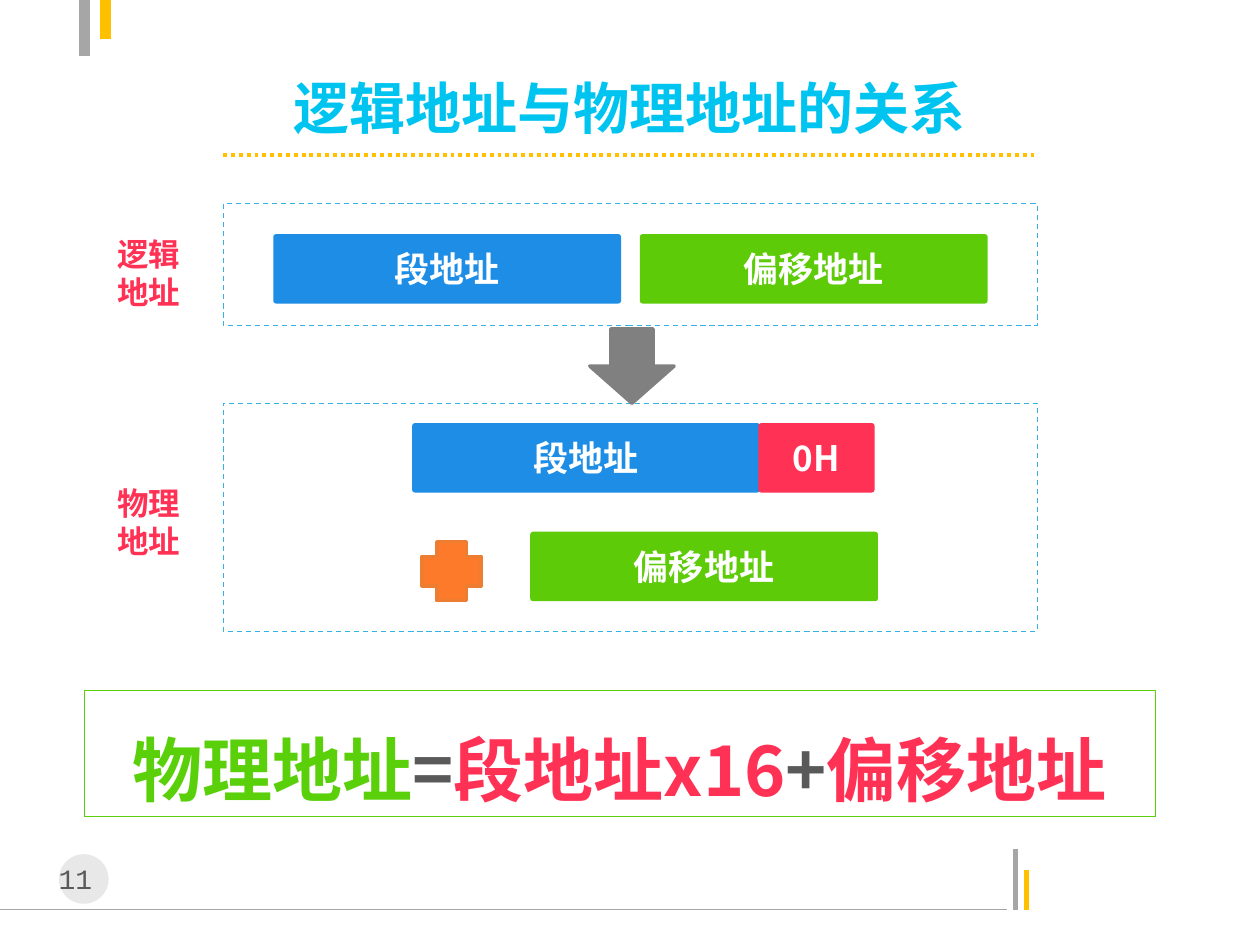
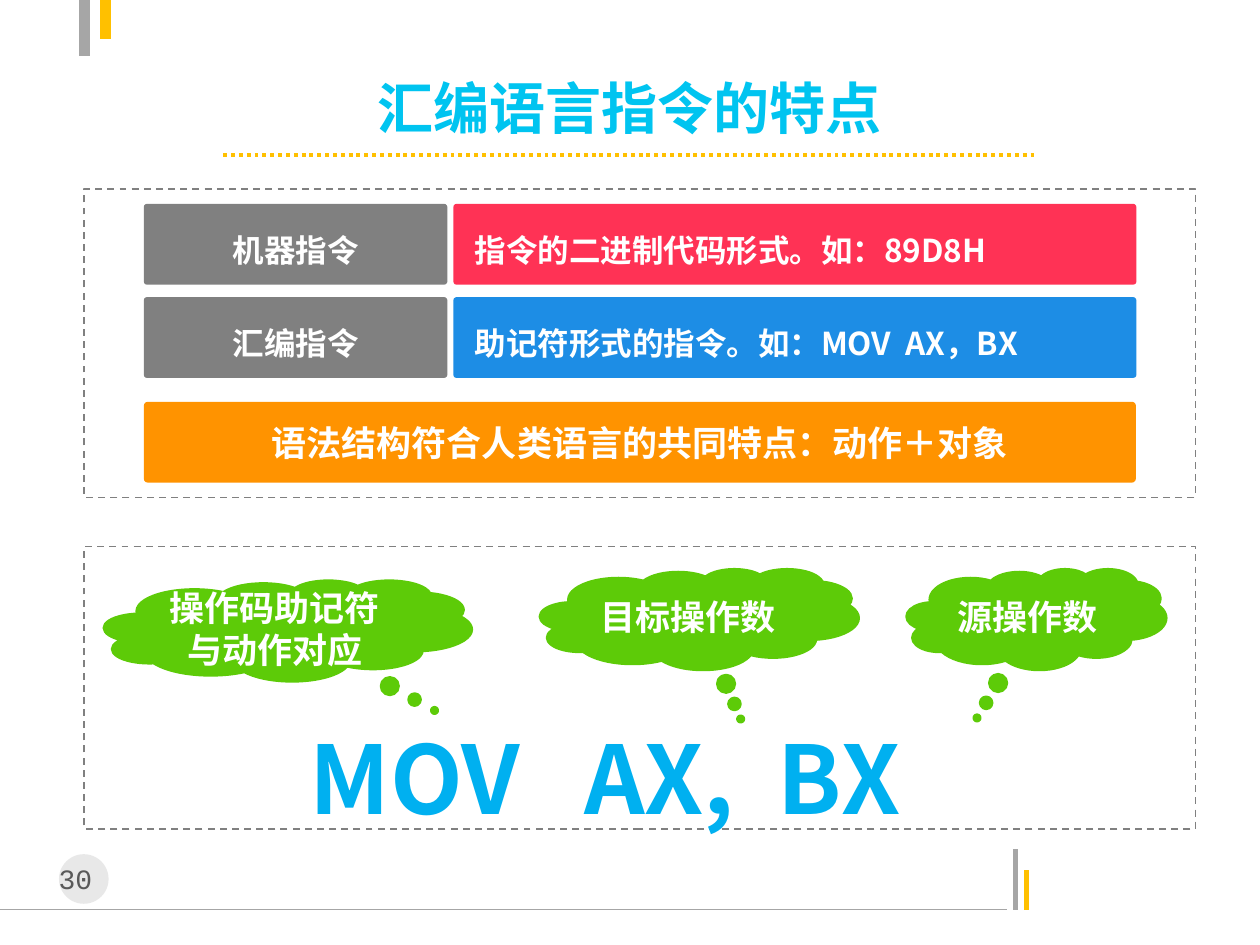
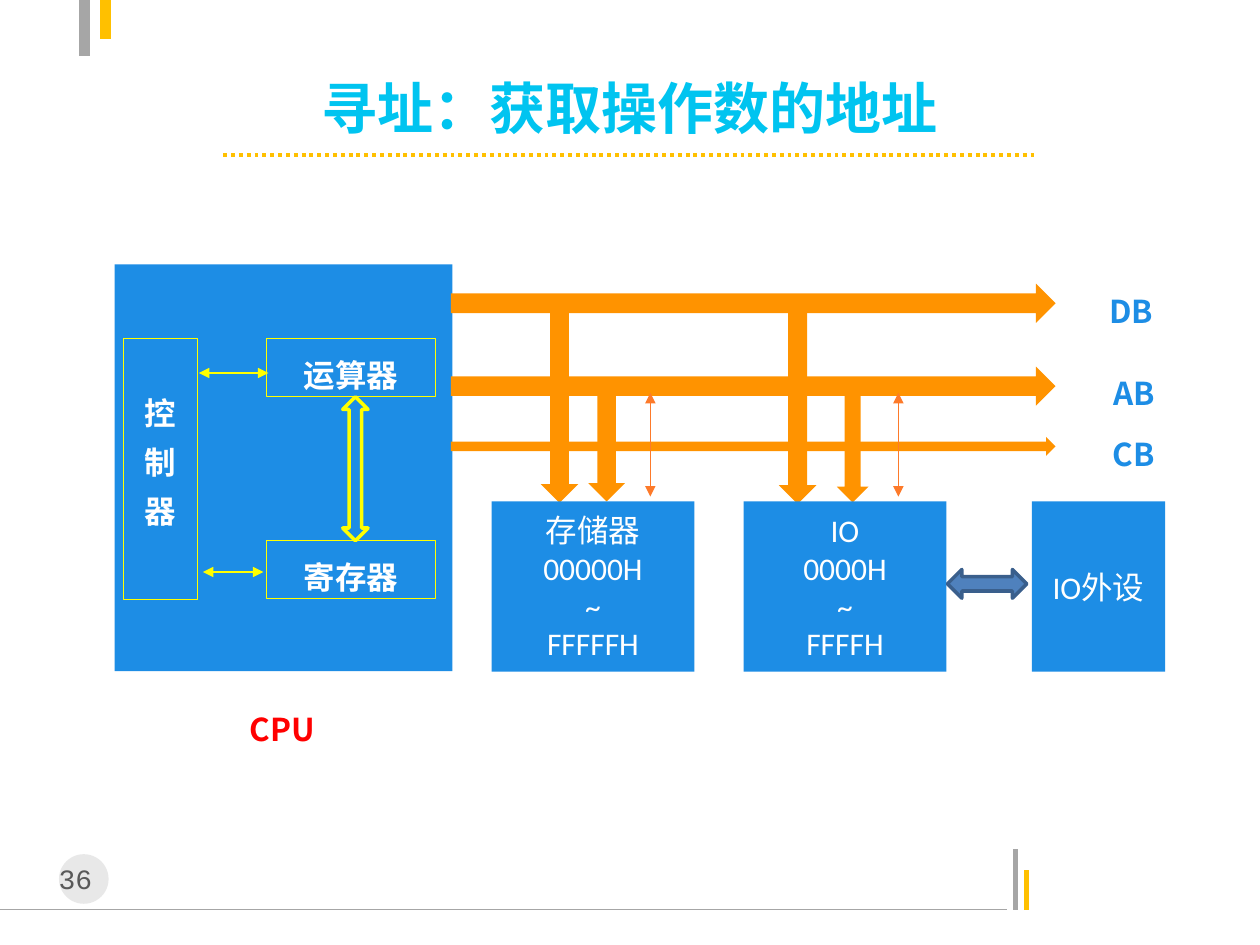
import dataclasses

import lxml.etree
import pptx
import pptx.dml.color
import pptx.enum.dml
import pptx.enum.shapes
import pptx.enum.text
import pptx.oxml.ns
import pptx.util

Cm = pptx.util.Cm
Pt = pptx.util.Pt
Preset = pptx.enum.shapes.MSO_SHAPE
Dash = pptx.enum.dml.MSO_LINE
Align = pptx.enum.text.PP_ALIGN
Anchor = pptx.enum.text.MSO_ANCHOR
qn = pptx.oxml.ns.qn


@dataclasses.dataclass(frozen=True)
class Theme:
    title: str = "00C4F0"
    blue: str = "1D8DE5"
    green: str = "5DCB08"
    red: str = "FF3255"
    orange: str = "FF9300"
    coral: str = "FD7A2A"
    plus_edge: str = "ED7D31"
    gold: str = "FFC000"
    yellow: str = "FFFF00"
    gray: str = "808080"
    rule_gray: str = "A6A6A6"
    badge: str = "BFBFBF"
    text: str = "595959"
    white: str = "FFFFFF"
    frame_blue: str = "36B2E6"
    formula_green: str = "5AD00A"
    code_blue: str = "00B0F0"
    caption_red: str = "FF0000"
    link_blue: str = "4F81BD"
    link_edge: str = "3A5F8C"
    han: str = "Noto Sans CJK SC"
    latin: str = "Calibri"
    mono: str = "Courier New"
    title_size: int = 32
    bar_size: int = 20
    label_size: int = 18
    number_size: int = 16
    formula_size: int = 40
    code_size: int = 54


theme = Theme()


def draw(slide, preset, at, fill=None, line=None, weight=0.75, dash=None, adjust=()):
    """Add a preset shape, or a text box if preset is None, at (left, top, width, height) in cm."""
    place = [Cm(length) for length in at]
    if preset is None:
        return slide.shapes.add_textbox(*place)
    shape = slide.shapes.add_shape(preset, *place)
    shape.shadow.inherit = False
    for index, value in enumerate(adjust):
        shape.adjustments[index] = value
    if fill:
        shape.fill.solid()
        shape.fill.fore_color.rgb = pptx.dml.color.RGBColor.from_string(fill)
    else:
        shape.fill.background()
    if line:
        shape.line.color.rgb = pptx.dml.color.RGBColor.from_string(line)
        shape.line.width = Pt(weight)
        shape.line.dash_style = dash
    else:
        shape.line.fill.background()
    return shape


def write(shape, *paragraphs, size=theme.label_size, color=theme.white, face=theme.han,
          bold=True, align=Align.CENTER, anchor=Anchor.MIDDLE, spacing=1.0, wrap=True):
    """Fill a shape with paragraphs, each a string or a list of (text, colour) runs."""
    frame = shape.text_frame
    frame.auto_size = pptx.enum.text.MSO_AUTO_SIZE.NONE
    frame.word_wrap = wrap
    frame.vertical_anchor = anchor
    for index, content in enumerate(paragraphs):
        paragraph = frame.add_paragraph() if index else frame.paragraphs[0]
        paragraph.alignment = align
        paragraph.line_spacing = spacing
        for text, run_color in [(content, color)] if isinstance(content, str) else content:
            run = paragraph.add_run()
            run.text = text
            run.font.size = Pt(size)
            run.font.bold = bold
            run.font.name = face
            run.font.color.rgb = pptx.dml.color.RGBColor.from_string(run_color)
            east_asian = lxml.etree.Element(qn("a:ea"), typeface=theme.han)
            run.font._element.find(qn("a:latin")).addnext(east_asian)


presentation = pptx.Presentation()
presentation.slide_width = Cm(25.4)
presentation.slide_height = Cm(19.05)

# Shared frame of every slide: title, page badge and rules.
# A line is (slide, x1, y1, x2, y2, colour, weight, dash, has arrowheads).
lines = []
slides = []
for number, heading in [
    (11, "逻辑地址与物理地址的关系"),
    (30, "汇编语言指令的特点"),
    (36, "寻址：获取操作数的地址"),
]:
    slide = presentation.slides.add_slide(presentation.slide_layouts[5])
    slides.append(slide)
    title = slide.shapes.title
    title.left, title.top, title.width, title.height = Cm(3.5), Cm(1.52), Cm(18.4), Cm(1.27)
    write(title, heading, size=theme.title_size, color=theme.title, wrap=False)

    badge = draw(slide, Preset.OVAL, (1.19, 17.22, 1, 1), theme.badge)
    badge_color = badge.element.spPr.find(".//" + qn("a:srgbClr"))
    lxml.etree.SubElement(badge_color, qn("a:alpha"), val="35000")
    write(draw(slide, None, (0.79, 17.25, 1.8, 0.94)), f"{number} ", size=theme.number_size,
          color=theme.text, face=theme.mono, bold=False, anchor=Anchor.TOP)

    lines += [
        (slide, 0, 18.34, 20.3, 18.34, theme.rule_gray, 0.75, None, False),
        (slide, 20.47, 18.34, 20.47, 17.12, theme.rule_gray, 3, None, False),
        (slide, 20.7, 18.34, 20.7, 17.53, theme.gold, 3, None, False),
        (slide, 1.7, 0, 1.7, 1.12, theme.rule_gray, 6, None, False),
        (slide, 2.13, 0, 2.13, 0.79, theme.gold, 6, None, False),
        (slide, 4.5, 3.12, 20.9, 3.12, theme.gold, 2.25, Dash.ROUND_DOT, False),
    ]
relation, features, addressing = slides

# Logical and physical addresses
for name, label_top, frame_top, frame_height in [
    ("逻辑", 4.62, 4.11, 2.46),
    ("物理", 9.63, 8.13, 4.6),
]:
    draw(relation, Preset.RECTANGLE, (4.5, frame_top, 16.41, frame_height),
         line=theme.frame_blue, dash=Dash.DASH)
    write(draw(relation, None, (2.11, label_top, 1.8, 1.8)), name, "地址", color=theme.red,
          align=Align.LEFT, anchor=Anchor.TOP, wrap=False)

for name, left, top, width, color in [
    ("段地址", 5.51, 4.72, 7.01, theme.blue),
    ("偏移地址", 12.9, 4.72, 7.01, theme.green),
    ("段地址", 8.31, 8.53, 7.01, theme.blue),
    ("偏移地址", 10.69, 10.72, 7.01, theme.green),
    ("0H", 15.29, 8.53, 2.34, theme.red),
]:
    part = draw(relation, Preset.ROUNDED_RECTANGLE, (left, top, width, 1.4), color, adjust=[0.04])
    write(part, name, size=theme.bar_size)

draw(relation, Preset.DOWN_ARROW, (11.89, 6.63, 1.7, 1.5), theme.gray, theme.gray, 2)
draw(relation, Preset.CROSS, (8.51, 10.92, 1.19, 1.19), theme.coral, theme.plus_edge, 2)

formula = draw(relation, Preset.RECTANGLE, (1.7, 13.92, 21.59, 2.54),
               theme.white, theme.formula_green)
write(formula, [("物理地址", theme.formula_green), ("=", theme.text), ("段地址x16", theme.red),
                ("+", theme.text), ("偏移地址", theme.red)],
      size=theme.formula_size, anchor=Anchor.TOP, spacing=1.35)

# Features of assembly instructions
for top, height in [(3.81, 6.22), (11.02, 5.69)]:
    draw(features, Preset.RECTANGLE, (1.7, top, 22.4, height),
         line=theme.gray, weight=1, dash=Dash.DASH)

for name, meaning, top, color in [
    ("机器指令", "指令的二进制代码形式。如：89D8H", 4.11, theme.red),
    ("汇编指令", "助记符形式的指令。如：MOV  AX，BX", 5.99, theme.blue),
]:
    kind = draw(features, Preset.ROUNDED_RECTANGLE, (2.9, top, 6.12, 1.63),
                theme.gray, adjust=[0.04])
    write(kind, name, spacing=1.3)
    definition = draw(features, Preset.ROUNDED_RECTANGLE, (9.14, top, 13.77, 1.63),
                      color, adjust=[0.04])
    write(definition, meaning, align=Align.LEFT, spacing=1.3)
    definition.text_frame.margin_left = Cm(0.41)

grammar = draw(features, Preset.ROUNDED_RECTANGLE, (2.9, 8.1, 20, 1.63),
               theme.orange, adjust=[0.05])
write(grammar, "语法结构符合人类语言的共同特点：动作＋对象", size=theme.bar_size, face=theme.latin)

write(draw(features, None, (5.99, 14.05, 16.51, 2.9)), "MOV   AX,  BX", size=theme.code_size,
      color=theme.code_blue, align=Align.LEFT, spacing=1.14)

for role, left, top, width, pointer, wrap in [
    ("操作码助记符与动作对应", 2.11, 11.71, 7.39, (0.4, 0.8), True),
    ("目标操作数", 10.9, 11.48, 6.4, (0.13, 1), False),
    ("源操作数", 18.29, 11.48, 5.21, (-0.23, 0.99), False),
]:
    cloud = draw(features, Preset.CLOUD_CALLOUT, (left, top, width, 2.01),
                 theme.green, theme.green, 2, adjust=pointer)
    write(cloud, role, size=theme.bar_size, face=theme.latin, wrap=wrap)

# Processor, buses, memory and devices
draw(addressing, Preset.RECTANGLE, (2.31, 5.33, 6.81, 8.2), theme.blue)
controller = draw(addressing, Preset.RECTANGLE, (2.49, 6.83, 1.5, 5.26), line=theme.yellow)
write(controller, *"控制器", anchor=Anchor.TOP, spacing=1.3)
controller.text_frame.margin_top = Cm(0.88)
for unit, top in [("运算器", 6.83), ("寄存器", 10.9)]:
    write(draw(addressing, Preset.RECTANGLE, (5.38, top, 3.4, 1.17), line=theme.yellow),
          unit, anchor=Anchor.TOP, spacing=1.3)
draw(addressing, Preset.UP_DOWN_ARROW, (6.91, 8, 0.51, 2.9), line=theme.yellow, weight=2)

for top, height in [(5.72, 0.79), (7.39, 0.79), (8.81, 0.38)]:
    draw(addressing, Preset.RIGHT_ARROW, (9.09, top, 12.19, height), theme.orange)
for branch in [
    (10.9, 6.25, 0.76, 3.89),
    (11.86, 7.98, 0.74, 2.13),
    (15.7, 6.27, 0.76, 3.89),
    (16.87, 7.92, 0.64, 2.21),
]:
    draw(addressing, Preset.DOWN_ARROW, branch, theme.orange)

for left, width, content in [
    (9.91, 4.09, ["存储器", "00000H", "~", "FFFFFH"]),
    (14.99, 4.09, ["IO", "0000H", "~", "FFFFH"]),
    (20.8, 2.69, ["IO外设"]),
]:
    write(draw(addressing, Preset.RECTANGLE, (left, 10.11, width, 3.43), theme.blue),
          *content, face=theme.latin, bold=False)
draw(addressing, Preset.LEFT_RIGHT_ARROW, (19.1, 11.48, 1.6, 0.58),
     theme.link_blue, theme.link_edge, 2)

for caption, left, top, color in [
    ("CPU", 3.99, 13.97, theme.caption_red),
    ("DB", 21.11, 5.54, theme.blue),
    ("AB", 21.16, 7.19, theme.blue),
    ("CB", 21.16, 8.41, theme.blue),
]:
    write(draw(addressing, None, (left, top, 3.4, 1.17)), caption, color=color,
          anchor=Anchor.TOP, spacing=1.3)

lines += [
    (addressing, 4.01, 7.52, 5.41, 7.52, theme.yellow, 0.75, None, True),
    (addressing, 4.09, 11.53, 5.31, 11.53, theme.yellow, 0.75, None, True),
    (addressing, 13.11, 10.01, 13.11, 7.92, theme.coral, 0.75, None, True),
    (addressing, 18.11, 10.01, 18.11, 7.92, theme.coral, 0.75, None, True),
]

# Rules and thin arrows of all slides
for slide, x1, y1, x2, y2, color, weight, dash, has_heads in lines:
    connector = slide.shapes.add_connector(
        pptx.enum.shapes.MSO_CONNECTOR.STRAIGHT, Cm(x1), Cm(y1), Cm(x2), Cm(y2))
    connector.line.color.rgb = pptx.dml.color.RGBColor.from_string(color)
    connector.line.width = Pt(weight)
    connector.line.dash_style = dash
    properties = connector.element.spPr
    if has_heads:
        for end in ("a:headEnd", "a:tailEnd"):
            lxml.etree.SubElement(properties.find(qn("a:ln")), qn(end), type="triangle")
    lxml.etree.SubElement(properties, qn("a:effectLst"))

presentation.save("out.pptx")
